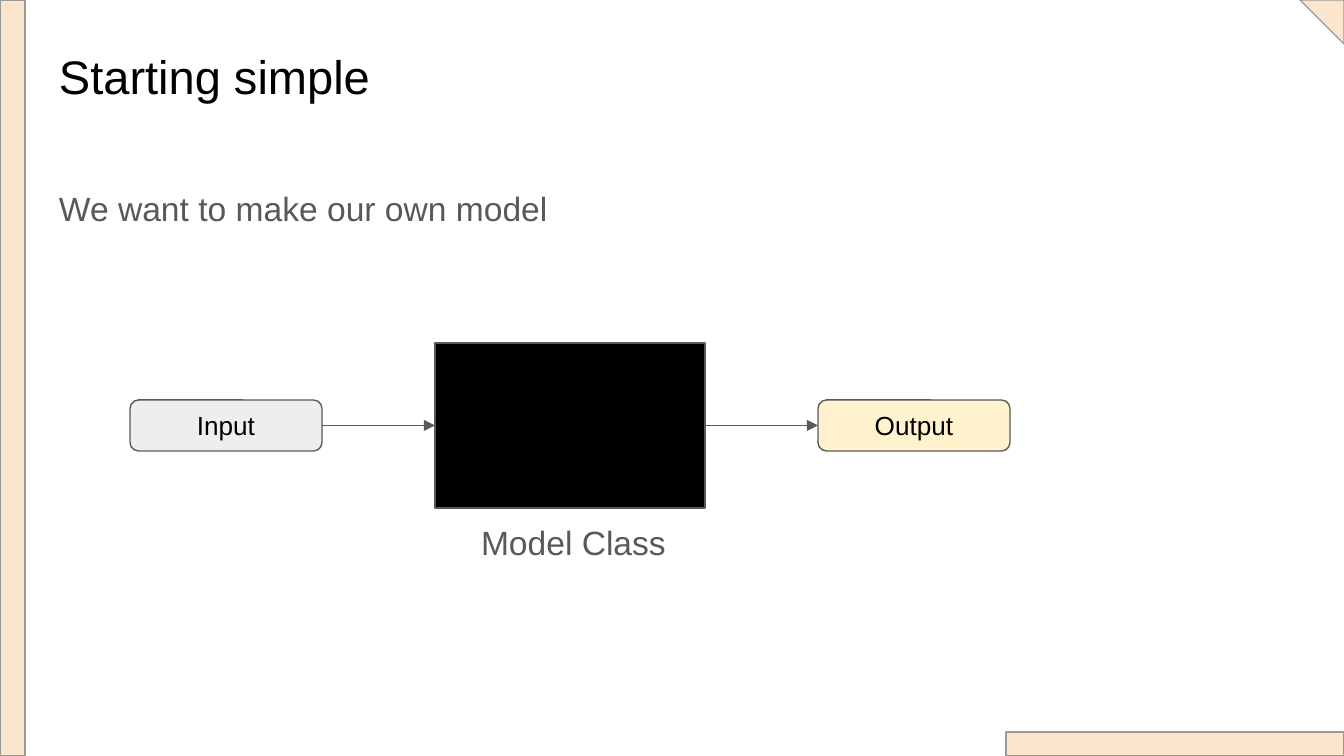
from lxml import etree
from pptx import Presentation
from pptx.dml.color import RGBColor
from pptx.enum.shapes import MSO_CONNECTOR, MSO_SHAPE
from pptx.enum.text import MSO_ANCHOR, MSO_AUTO_SIZE, PP_ALIGN
from pptx.oxml.ns import qn
from pptx.util import Inches, Pt

RECTANGLE = MSO_SHAPE.RECTANGLE
ROUNDED = MSO_SHAPE.ROUNDED_RECTANGLE
TRIANGLE = MSO_SHAPE.RIGHT_TRIANGLE
STRAIGHT = MSO_CONNECTOR.STRAIGHT
TOP, MIDDLE = MSO_ANCHOR.TOP, MSO_ANCHOR.MIDDLE
LEFT, CENTER = PP_ALIGN.LEFT, PP_ALIGN.CENTER
NO_FIT = MSO_AUTO_SIZE.NONE

PAGE_WIDTH, PAGE_HEIGHT = 1344, 756
SCALE = Inches(10) / PAGE_WIDTH
TWO_CONTENT_LAYOUT = 3
INSET = 13
FLOW_LEFT, FLOW_AXIS, FLOW_GAP = 130, 425, 113
RIGHT_SIDE, LEFT_SIDE = 3, 1

THEME = {
    "font": "Arial",
    "black": "000000",
    "grey": "595959",
    "peach": "FCE5CD",
    "peach_line": "999999",
    "input": "EEEEEE",
    "output": "FFF2CC",
    "title_size": 25.2,
    "body_size": 18,
    "node_size": 14,
    "line_width": 0.75,
}

DECORATIONS = [
    (RECTANGLE, (0, 0, 25, PAGE_HEIGHT), 0),
    (RECTANGLE, (1006, 732, 338, 24), 0),
    (TRIANGLE, (1300, 0, 44, 44), 180),
]

PLACEHOLDERS = [
    ("Starting simple", (46, 34, 1252, 84), "title_size", "black", 1.0),
    ("We want to make our own model", (46, 169, 1089, 77), "body_size", "grey", 1.15),
    ("Model Class", (468, 503, 244, 77), "body_size", "grey", 1.15),
]

FLOW = [
    ("Input", ROUNDED, (192, 51), "input"),
    ("", RECTANGLE, (270, 165), "black"),
    ("Output", ROUNDED, (192, 51), "output"),
]


def px(length):
    return round(length * SCALE)


def color(name):
    return RGBColor.from_string(THEME[name])


def apply(target, values):
    for name, value in values.items():
        setattr(target, name, value)


def place(shape, box):
    apply(shape, dict(zip(("left", "top", "width", "height"), map(px, box))))


def write(shape, text, size, ink, alignment, anchor, spacing=1.0):
    frame = shape.text_frame
    sides = ("margin_left", "margin_top", "margin_right", "margin_bottom")
    apply(frame, dict.fromkeys(sides, px(INSET)))
    apply(frame, {"word_wrap": True, "auto_size": NO_FIT, "vertical_anchor": anchor})
    para = frame.paragraphs[0]
    apply(para, {
        "alignment": alignment,
        "line_spacing": spacing,
        "space_before": Pt(0),
        "space_after": Pt(0),
    })
    span = para.add_run()
    span.text = text
    apply(span.font, {"name": THEME["font"], "size": Pt(THEME[size])})
    span.font.color.rgb = color(ink)
    return para


def outline(shape, ink):
    shape.line.color.rgb = color(ink)
    shape.line.width = Pt(THEME["line_width"])


def add_box(page, kind, box, fill, ink):
    shape = page.shapes.add_shape(kind, *map(px, box))
    shape.shadow.inherit = False
    shape.fill.solid()
    shape.fill.fore_color.rgb = color(fill)
    outline(shape, ink)
    return shape


def add_arrow(page, source, target):
    arrow = page.shapes.add_connector(STRAIGHT, 0, 0, 0, 0)
    arrow.begin_connect(source, RIGHT_SIDE)
    arrow.end_connect(target, LEFT_SIDE)
    outline(arrow, "grey")
    etree.SubElement(arrow.line._get_or_add_ln(), qn("a:tailEnd"), type="triangle")
    etree.SubElement(arrow._element.spPr, qn("a:effectLst"))


def fill_placeholders(page):
    for shape, (text, box, size, ink, spacing) in zip(page.placeholders, PLACEHOLDERS):
        place(shape, box)
        para = write(shape, text, size, ink, LEFT, TOP, spacing)
        properties = para._p.get_or_add_pPr()
        properties.set("marL", "0")
        properties.set("indent", "0")
        etree.SubElement(properties, qn("a:buNone"))


def draw_flow(page):
    nodes = []
    left = FLOW_LEFT
    for label, kind, (width, height), fill in FLOW:
        box = (left, FLOW_AXIS - height // 2, width, height)
        node = add_box(page, kind, box, fill, "grey")
        if label:
            write(node, label, "node_size", "black", CENTER, MIDDLE)
        nodes.append(node)
        left += width + FLOW_GAP
    for source, target in zip(nodes, nodes[1:]):
        add_arrow(page, source, target)


def main():
    deck = Presentation()
    deck.slide_width, deck.slide_height = px(PAGE_WIDTH), px(PAGE_HEIGHT)
    page = deck.slides.add_slide(deck.slide_layouts[TWO_CONTENT_LAYOUT])
    for kind, box, rotation in DECORATIONS:
        add_box(page, kind, box, "peach", "peach_line").rotation = rotation
    fill_placeholders(page)
    draw_flow(page)
    deck.save("out.pptx")


if __name__ == "__main__":
    main()
